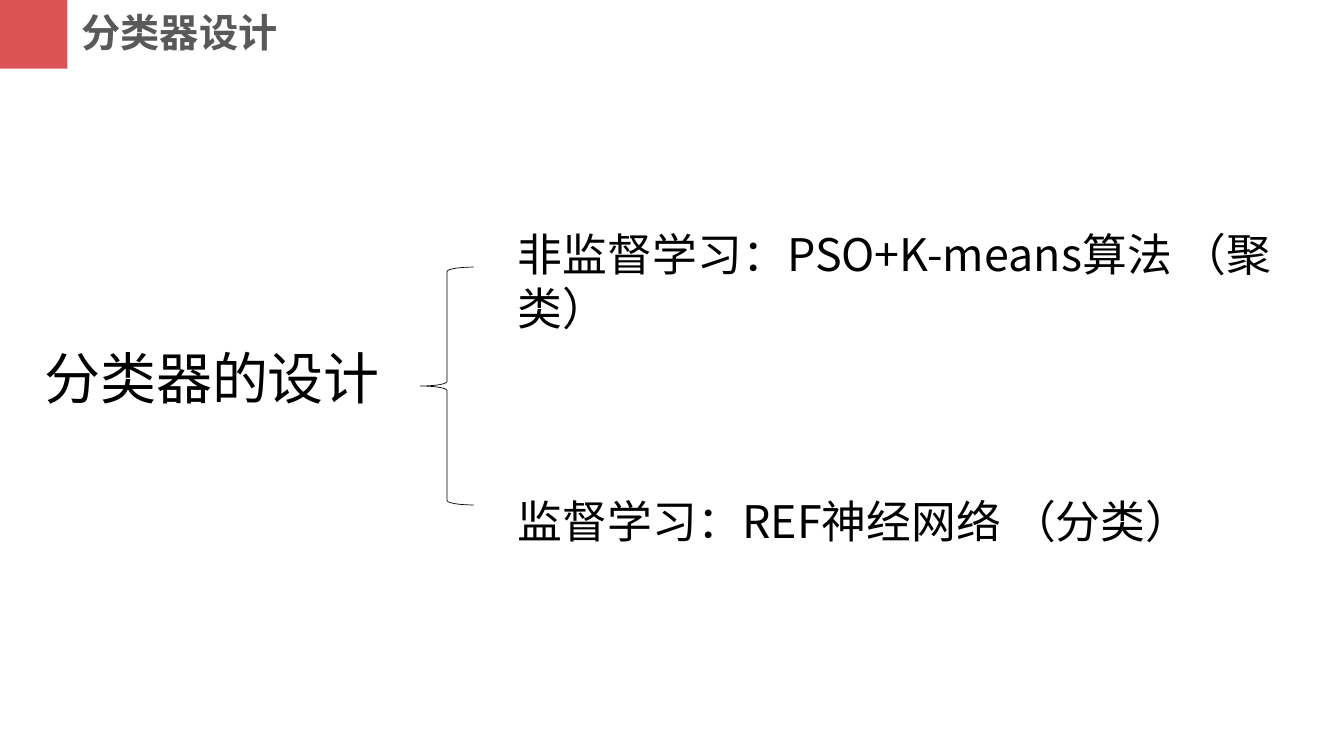
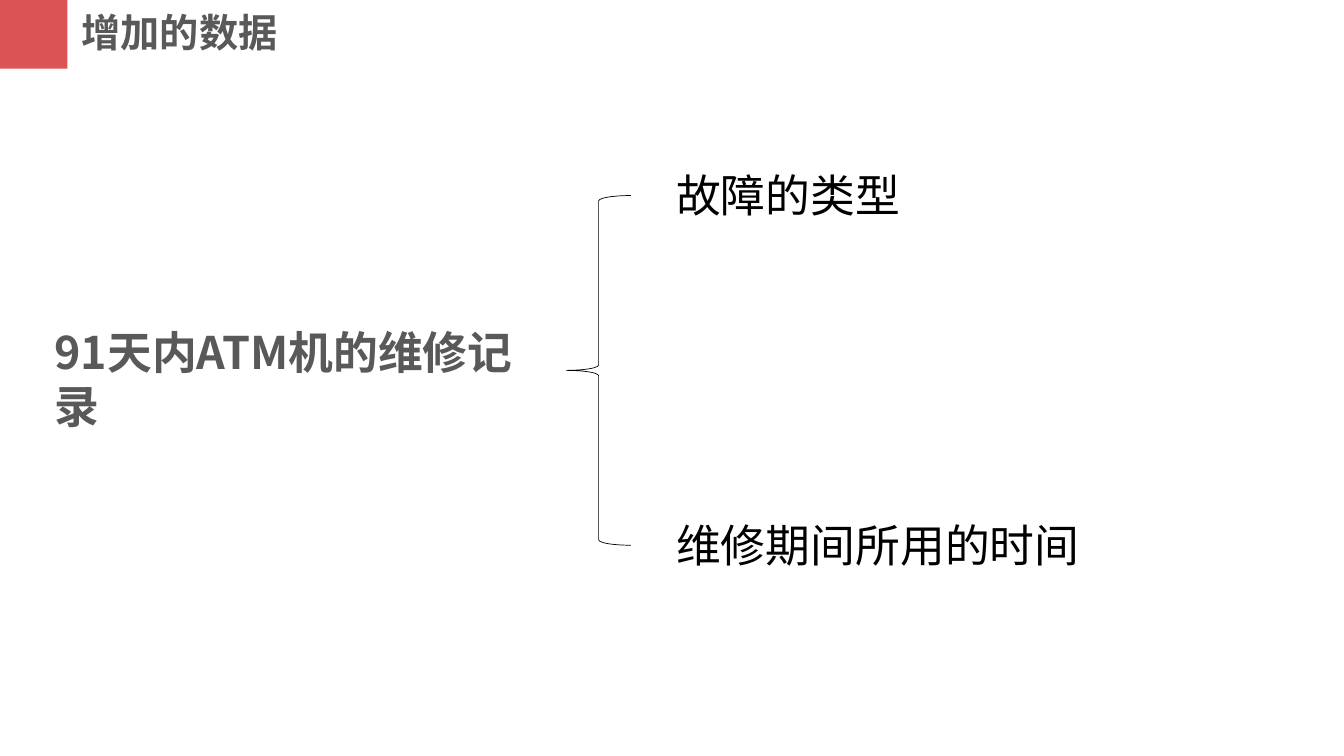
from pptx import Presentation
from pptx.dml.color import RGBColor
from pptx.enum import shapes, text
from pptx.oxml import ns
from pptx.util import Pt
from lxml import etree

FONT = "Noto Sans CJK SC"
RED, GREY, BLACK = "DB5355", "595959", "000000"


def color(value):
    return RGBColor.from_string(value)


def write(shape, box, content, size, value, bold=False, wrap=True):
    shape.left, shape.top, shape.width, shape.height = [Pt(n) for n in box]
    frame = shape.text_frame
    frame.word_wrap = wrap
    frame.auto_size = text.MSO_AUTO_SIZE.NONE
    frame.vertical_anchor = text.MSO_ANCHOR.TOP
    paragraph = frame.paragraphs[0]
    paragraph.alignment = text.PP_ALIGN.LEFT
    run = paragraph.add_run()
    run.text = content
    run.font.name = FONT
    run.font.size = Pt(size)
    run.font.bold = bold
    run.font.color.rgb = color(value)
    east_asian = etree.SubElement(run._r.get_or_add_rPr(), ns.qn("a:ea"))
    east_asian.set("typeface", FONT)


pages = [
    {
        "title": "分类器设计",
        "topic": ((24.5, 242, 265.7, 55.4), "分类器的设计", 40, BLACK, False),
        "brace": (300.2, 190.8, 38.2, 169.9),
        "branches": [
            ((362.9, 158.4, 577.4, 46), "非监督学习：PSO+K-means算法 （聚类）"),
            ((362.9, 349.2, 501.8, 46), "监督学习：REF神经网络 （分类）"),
        ],
        "wrap": True,
    },
    {
        "title": "增加的数据",
        "topic": ((31.7, 228.2, 373, 46), "91天内ATM机的维修记录", 32, GREY, True),
        "brace": (404.6, 139.7, 46.1, 249.8),
        "branches": [
            ((475.9, 116.6, 176.4, 46), "故障的类型"),
            ((475.9, 366.5, 305.3, 46), "维修期间所用的时间"),
        ],
        "wrap": False,
    },
]

presentation = Presentation()
presentation.slide_width = Pt(960)
presentation.slide_height = Pt(540)

for page in pages:
    slide = presentation.slides.add_slide(presentation.slide_layouts[5])

    marker = slide.shapes.add_shape(
        shapes.MSO_SHAPE.RECTANGLE, 0, 0, Pt(48.2), Pt(49)
    )
    marker.shadow.inherit = False
    marker.fill.solid()
    marker.fill.fore_color.rgb = color(RED)
    marker.line.fill.background()

    write(slide.shapes.title, (51.1, 2.2, 352.8, 41), page["title"], 28, GREY, True)

    box, *style = page["topic"]
    write(slide.shapes.add_textbox(0, 0, 0, 0), box, *style)

    brace = slide.shapes.add_shape(
        shapes.MSO_SHAPE.LEFT_BRACE, *[Pt(n) for n in page["brace"]]
    )
    brace.shadow.inherit = False
    brace.fill.background()
    brace.line.color.rgb = color(BLACK)
    brace.line.width = Pt(0.5)

    for box, content in page["branches"]:
        branch = slide.shapes.add_textbox(0, 0, 0, 0)
        write(branch, box, content, 32, BLACK, wrap=page["wrap"])

presentation.save("out.pptx")
